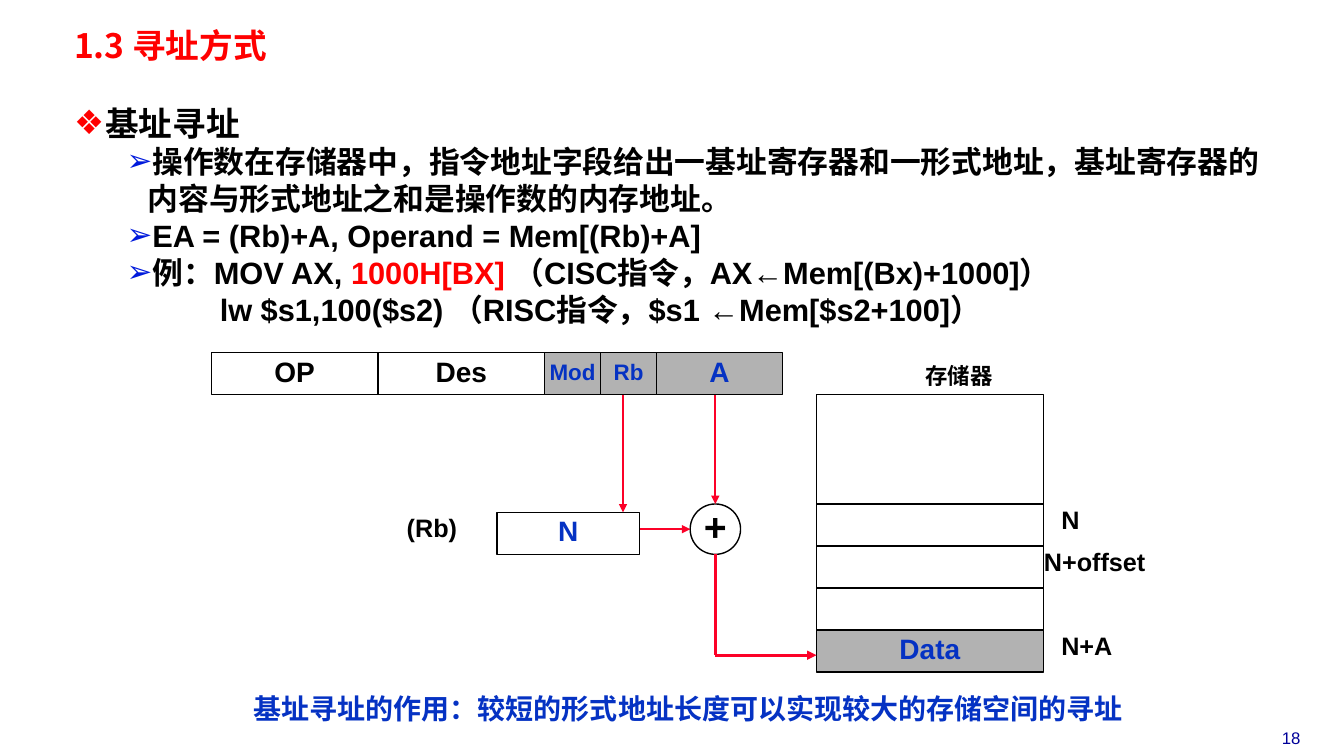
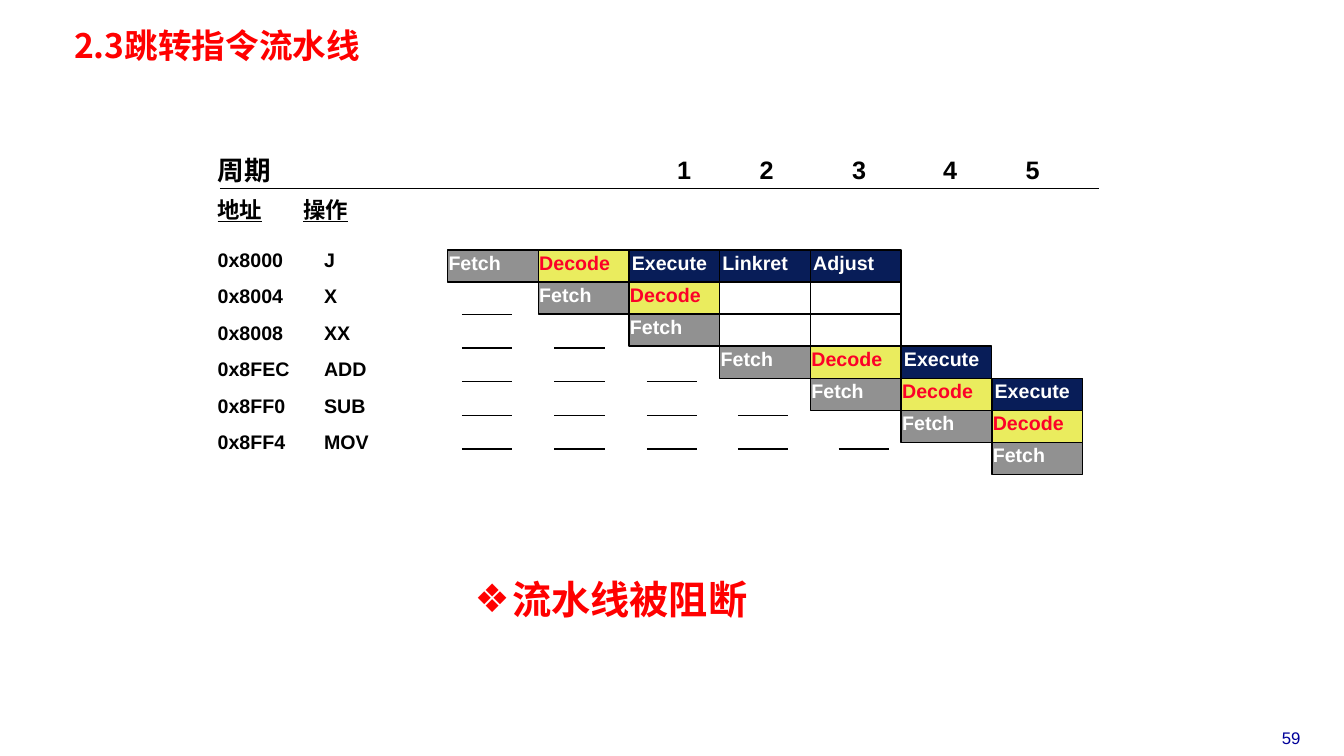
from dataclasses import dataclass

from lxml import etree
from pptx import Presentation
from pptx.dml.color import RGBColor
from pptx.enum.shapes import MSO_CONNECTOR, MSO_SHAPE
from pptx.enum.text import MSO_ANCHOR, PP_ALIGN
from pptx.oxml.ns import qn
from pptx.util import Pt

RECT = MSO_SHAPE.RECTANGLE
OVAL = MSO_SHAPE.OVAL
LINE = MSO_CONNECTOR.STRAIGHT
LEFT = PP_ALIGN.LEFT
MID = PP_ALIGN.CENTER
TOP = MSO_ANCHOR.TOP
CENTER = MSO_ANCHOR.MIDDLE


@dataclass(frozen=True)
class Theme:
    """Colours, fonts and type sizes of the deck."""

    red: str = "FF0000"
    arrow: str = "FC0128"
    blue: str = "0532C3"
    bullet: str = "001ADC"
    page: str = "000099"
    navy: str = "081D58"
    yellow: str = "EAEC5E"
    gray: str = "919191"
    pale: str = "B2B2B2"
    black: str = "000000"
    white: str = "FFFFFF"
    latin: str = "Arial"
    han: str = "Noto Sans CJK SC"
    title: int = 24
    body: int = 22
    big: int = 28
    cell: int = 20
    cycle: int = 19
    label: int = 18
    small: int = 16
    tiny: int = 14
    foot: int = 12


T = Theme()
SLIM = (5, 2, 5, 2)
WIDE = (7.2, 3.6, 7.2, 3.6)
STAGES = {
    "": (None, T.white),
    "Fetch": (T.gray, T.white),
    "Decode": (T.yellow, T.arrow),
    "Execute": (T.navy, T.white),
    "Linkret": (T.navy, T.white),
    "Adjust": (T.navy, T.white),
}


def ink(hue):
    """Turn a hex string into a colour."""
    return RGBColor.from_string(hue)


def style(run, size, hue=T.black, font=T.latin, bold=True):
    """Format one run, with its Han font."""
    run.font.size = Pt(size)
    run.font.bold = bold
    run.font.color.rgb = ink(hue)
    run.font.name = font
    etree.SubElement(run.font._element, qn("a:ea"), typeface=T.han)


def bullet(para, sign, hue, left, hang):
    """Give a paragraph a coloured bullet and a hanging indent."""
    props = para._p.get_or_add_pPr()
    props.set("marL", str(Pt(left)))
    props.set("indent", str(Pt(-hang)))
    if sign:
        tint = etree.SubElement(props, qn("a:buClr"))
        etree.SubElement(tint, qn("a:srgbClr"), val=hue)
        etree.SubElement(props, qn("a:buFont"), typeface=T.latin)
        etree.SubElement(props, qn("a:buChar"), char=sign)


def tabs(para, stops):
    """Set left tab stops on a paragraph."""
    group = etree.SubElement(para._p.get_or_add_pPr(), qn("a:tabLst"))
    for stop in stops:
        etree.SubElement(group, qn("a:tab"), pos=str(Pt(stop)), algn="l")


def frame(shape, pad, anchor=TOP, wrap=True):
    """Set the insets, anchor and wrapping of a text frame."""
    text = shape.text_frame
    text.margin_left, text.margin_top, text.margin_right, text.margin_bottom = map(Pt, pad)
    text.vertical_anchor = anchor
    text.word_wrap = wrap
    return text


def box(slide, area, pad=WIDE, anchor=TOP):
    """Add an empty text box and return its frame."""
    return frame(slide.shapes.add_textbox(*map(Pt, area)), pad, anchor)


def label(slide, area, text, size, hue=T.black, font=T.latin, align=LEFT,
          lead=0.85, pad=WIDE, bold=True, stops=()):
    """Add a one-line text box and return its paragraph."""
    para = box(slide, area, pad).paragraphs[0]
    para.text = text
    para.alignment = align
    para.line_spacing = lead
    if stops:
        tabs(para, stops)
    for run in para.runs:
        style(run, size, hue, font, bold)
    return para


def block(slide, area, text="", size=T.cell, hue=T.black, fill=None, kind=RECT,
          align=MID, anchor=CENTER, pad=WIDE):
    """Add an outlined shape with optional fill and text."""
    shape = slide.shapes.add_shape(kind, *map(Pt, area))
    shape.shadow.inherit = False
    shape.line.color.rgb = ink(T.black)
    shape.line.width = Pt(1)
    if fill:
        shape.fill.solid()
        shape.fill.fore_color.rgb = ink(fill)
    else:
        shape.fill.background()
    if text:
        para = frame(shape, pad, anchor, False).paragraphs[0]
        para.text = text
        para.alignment = align
        para.line_spacing = 0.85
        style(para.runs[0], size, hue)


def stroke(slide, start, end, hue=T.black, width=1, head=False):
    """Draw a straight line, with an arrowhead if asked."""
    line = slide.shapes.add_connector(LINE, *map(Pt, start + end))
    line.line.color.rgb = ink(hue)
    line.line.width = Pt(width)
    props = line._element.spPr
    if head:
        etree.SubElement(props.find(qn("a:ln")), qn("a:tailEnd"), type="triangle")
    etree.SubElement(props, qn("a:effectLst"))


def page(deck, title, number):
    """Add a slide with the shared title and page number."""
    slide = deck.slides.add_slide(deck.slide_layouts[6])
    label(slide, (48, 20, 552, 30), title, T.title, T.red, T.han, lead=0.87, pad=SLIM)
    label(slide, (888.5, 516.2, 67.7, 21.6), number, T.foot, T.page,
          align=MID, lead=1.0, bold=False)
    return slide


def prose(slide):
    """Write the bulleted text on base addressing."""
    first = ("❖", T.red, 22.3, 22.3)
    point = ("➢", T.bullet, 52.5, 15)
    plain = (None, None, 104, 0)
    lines = [
        (first, T.title, 30.5, [("基址寻址", T.black)]),
        (point, T.body, 26.4, [(
            "操作数在存储器中，指令地址字段给出一基址寄存器和一形式地址，"
            "基址寄存器的内容与形式地址之和是操作数的内存地址。", T.black)]),
        (point, T.body, 26.4, [("EA = (Rb)+A, Operand = Mem[(Rb)+A]", T.black)]),
        (point, T.body, 26.4, [
            ("例：MOV AX, ", T.black), ("1000H[BX]", T.red),
            (" （CISC指令，AX←Mem[(Bx)+1000]）", T.black)]),
        (plain, T.body, 26.4, [
            ("lw $s1,100($s2) （RISC指令，$s1 ←Mem[$s2+100]）", T.black)]),
    ]
    text = box(slide, (48, 69.5, 868.5, 166), SLIM)
    for index, (mark, size, lead, parts) in enumerate(lines):
        para = text.add_paragraph() if index else text.paragraphs[0]
        bullet(para, *mark)
        para.line_spacing = Pt(lead)
        for words, hue in parts:
            run = para.add_run()
            run.text = words
            style(run, size, hue)


def fields(slide):
    """Draw the fields of the instruction word."""
    left = 151
    for name, width, size, fill in (
        ("OP", 119, T.cell, None),
        ("Des", 119, T.cell, None),
        ("Mod", 40, T.small, T.pale),
        ("Rb", 40, T.small, T.pale),
        ("A", 90, T.cell, T.pale),
    ):
        hue = T.blue if fill else T.black
        block(slide, (left, 252, width, 30), name, size, hue, fill)
        left += width


def memory(slide):
    """Draw the memory column and its address labels."""
    label(slide, (607, 258, 156, 24), "存储器", T.small, align=MID)
    block(slide, (583.2, 282, 162, 78))
    for row, (text, fill) in enumerate([("", None)] * 3 + [("Data", T.pale)]):
        block(slide, (583.2, 360 + 30 * row, 162, 30), text, T.cell, T.blue, fill)
    for text, left, row, width, align in (
        ("N", 751, 0, 48, LEFT),
        ("N+offset", 738, 1, 88, MID),
        ("N+A", 751, 3, 58, LEFT),
    ):
        label(slide, (left, 360 + 30 * row, width, 26), text, T.label, align=align)


def base(deck):
    """Build the slide on base addressing."""
    slide = page(deck, "1.3 寻址方式", "18")
    prose(slide)
    fields(slide)
    block(slide, (355, 366, 102, 30), "N", hue=T.blue)
    label(slide, (259, 366, 99, 26), "(Rb)", T.label, align=MID)
    block(slide, (493, 360, 36, 36), "+", T.big, kind=OVAL)
    memory(slide)
    for start, end, width, head in (
        ((445, 282), (445, 366), 1.5, True),
        ((511, 282), (511, 360), 1.5, True),
        ((457, 378), (493, 378), 1.5, True),
        ((511, 396), (511, 468), 2.25, False),
        ((511, 468), (583.2, 468), 2.25, True),
    ):
        stroke(slide, start, end, T.arrow, width, head)
    label(slide, (174, 494, 642, 28),
          "基址寻址的作用：较短的形式地址长度可以实现较大的存储空间的寻址", T.cell, T.blue)


def stages(slide):
    """Draw the staircase of pipeline stages."""
    wide, high = 64.8, 22.9
    for row, names in enumerate((
        ("Fetch", "Decode", "Execute", "Linkret", "Adjust"),
        ("Fetch", "Decode", "", ""),
        ("Fetch", "", ""),
        ("Fetch", "Decode", "Execute"),
        ("Fetch", "Decode", "Execute"),
        ("Fetch", "Decode"),
        ("Fetch",),
    )):
        for col, name in enumerate(names, row):
            fill, hue = STAGES[name]
            inset = 2 if fill == T.navy else 0.7
            block(slide, (319.7 + wide * col, 178.6 + high * row, wide, high), name,
                  T.tiny, hue, fill, align=LEFT, anchor=TOP, pad=(inset, 2.9, 0, 0))


def jump(deck):
    """Build the slide on the jump pipeline."""
    slide = page(deck, "2.3跳转指令流水线", "59")
    label(slide, (150.5, 110.9, 60, 25), "周期", T.cycle, lead=0.88, pad=SLIM)
    label(slide, (478.6, 110.9, 290, 23), "1\t2\t3\t4\t5", T.label,
          lead=0.88, pad=SLIM, stops=(59, 125, 190, 249))
    stroke(slide, (157, 134.6), (785, 134.6))
    head = label(slide, (150.5, 140.5, 130, 24), "", T.small, lead=0.88, pad=SLIM, stops=(61,))
    for words in ("地址", "\t", "操作"):
        run = head.add_run()
        run.text = words
        style(run, T.small)
        run.font.underline = words != "\t"
    for row, text in enumerate((
        "0x8000\tJ", "0x8004\tX", "0x8008\tXX",
        "0x8FEC\tADD", "0x8FF0\tSUB", "0x8FF4\tMOV",
    )):
        label(slide, (150.5, 177 + 26.1 * row, 130, 19), text, T.tiny,
              lead=0.88, pad=SLIM, stops=(76,))
    stages(slide)
    for col, left in enumerate((330, 396, 462, 527, 599)):
        for row in range(col, 5):
            high = 224.6 + 24 * row
            stroke(slide, (left, high), (left + 36, high))
    para = box(slide, (334, 404.6, 320, 38.2), SLIM, CENTER).paragraphs[0]
    para.text = "流水线被阻断"
    bullet(para, "❖", T.red, 27, 27)
    para.line_spacing = 1.25
    style(para.runs[0], T.big, T.red, T.han)


def main():
    """Build and save the deck."""
    deck = Presentation()
    deck.slide_width = Pt(960)
    deck.slide_height = Pt(540)
    base(deck)
    jump(deck)
    deck.save("out.pptx")


if __name__ == "__main__":
    main()
